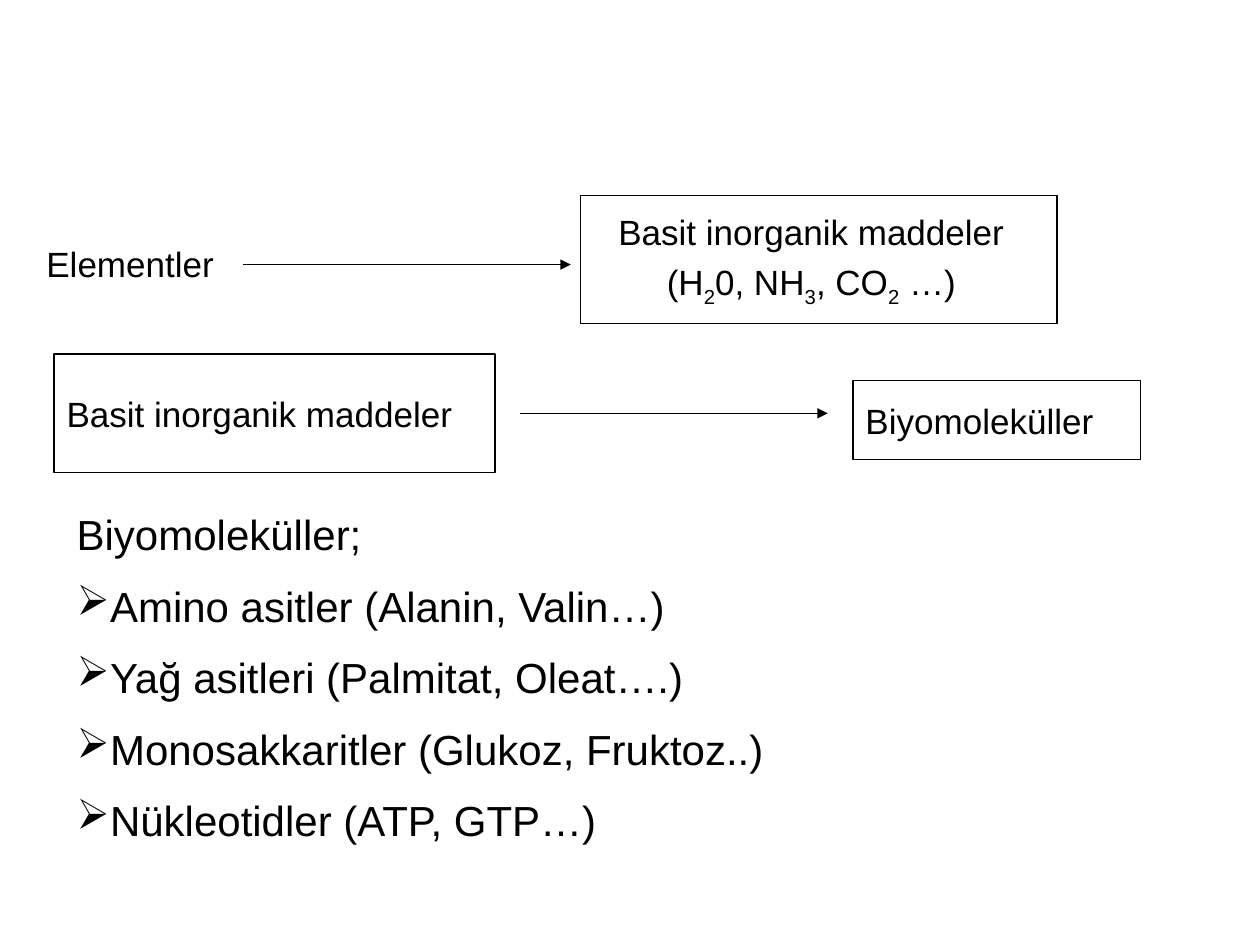
from lxml.etree import SubElement
from pptx import Presentation
from pptx.dml.color import RGBColor
from pptx.enum.shapes import MSO_CONNECTOR, MSO_SHAPE
from pptx.enum.text import MSO_ANCHOR, PP_ALIGN
from pptx.oxml.ns import qn
from pptx.util import Inches, Pt

BLACK = "000000"
BULLET = "➢"
BIOMOLECULES = [
    "Amino asitler (Alanin, Valin…)",
    "Yağ asitleri (Palmitat, Oleat….)",
    "Monosakkaritler (Glukoz, Fruktoz..)",
    "Nükleotidler (ATP, GTP…)",
]
# Formula parts: text and whether it is a subscript
FORMULAS = [("(H", False), ("2", True), ("0, NH", False), ("3", True),
            (", CO", False), ("2", True), (" …)", False)]


def color(value):
    return RGBColor.from_string(value)


def set_font(paragraph, size):
    paragraph.font.name = "Arial"
    paragraph.font.size = Pt(size)
    paragraph.font.color.rgb = color(BLACK)


def add_label(slide, box, text):
    shape = slide.shapes.add_textbox(*map(Inches, box))
    frame = shape.text_frame
    frame.word_wrap = True
    frame.vertical_anchor = MSO_ANCHOR.MIDDLE
    paragraph = frame.paragraphs[0]
    paragraph.text = text
    set_font(paragraph, 20)


def add_box(slide, box, text, alignment=PP_ALIGN.LEFT):
    shape = slide.shapes.add_shape(MSO_SHAPE.RECTANGLE, *map(Inches, box))
    shape.shadow.inherit = False
    shape.fill.background()
    shape.line.color.rgb = color(BLACK)
    shape.line.width = Pt(0.75)
    frame = shape.text_frame
    frame.word_wrap = True
    frame.vertical_anchor = MSO_ANCHOR.MIDDLE
    paragraph = frame.paragraphs[0]
    paragraph.text = text
    paragraph.alignment = alignment
    set_font(paragraph, 20)
    return frame


def add_inorganic_box(slide, box):
    frame = add_box(slide, box, "Basit inorganik maddeler", PP_ALIGN.CENTER)
    frame.margin_right = Inches(0.22)
    paragraph = frame.add_paragraph()
    paragraph.alignment = PP_ALIGN.CENTER
    paragraph.space_before = Pt(4.5)
    set_font(paragraph, 20)
    for text, subscript in FORMULAS:
        run = paragraph.add_run()
        run.text = text
        if subscript:
            run.font._element.set("baseline", "-25000")


def add_arrow(slide, left, right, y):
    arrow = slide.shapes.add_connector(
        MSO_CONNECTOR.STRAIGHT, Inches(left), Inches(y), Inches(right), Inches(y))
    arrow.line.color.rgb = color(BLACK)
    arrow.line.width = Pt(0.75)
    SubElement(arrow.line._get_or_add_ln(), qn("a:tailEnd"), type="triangle")
    SubElement(arrow._element.spPr, qn("a:effectLst"))


def add_bullet(paragraph):
    properties = paragraph._element.get_or_add_pPr()
    bullet_color = SubElement(properties, qn("a:buClr"))
    SubElement(bullet_color, qn("a:srgbClr"), val=BLACK)
    SubElement(properties, qn("a:buChar"), char=BULLET)


def add_biomolecule_list(slide, box):
    frame = slide.shapes.add_textbox(*map(Inches, box)).text_frame
    frame.word_wrap = True
    heading = frame.paragraphs[0]
    heading.text = "Biyomoleküller;"
    heading.space_after = Pt(6)
    set_font(heading, 24)
    for text in BIOMOLECULES:
        paragraph = frame.add_paragraph()
        paragraph.text = text
        paragraph.space_before = paragraph.space_after = Pt(6)
        add_bullet(paragraph)
        set_font(paragraph, 24)


def main():
    presentation = Presentation()
    presentation.slide_width = Inches(10)
    presentation.slide_height = Inches(7.5)
    slide = presentation.slides.add_slide(presentation.slide_layouts[6])

    # Elements to simple inorganic substances
    add_label(slide, (0.27, 1.86, 1.6, 0.46), "Elementler")
    add_arrow(slide, 1.93, 4.53, 2.1)
    add_inorganic_box(slide, (4.61, 1.55, 3.78, 1.02))

    # Simple inorganic substances to biomolecules
    add_box(slide, (0.43, 2.81, 3.5, 0.94), "Basit inorganik maddeler")
    add_arrow(slide, 4.13, 6.57, 3.28)
    add_box(slide, (6.77, 3.02, 2.28, 0.63), "Biyomoleküller")

    # Kinds of biomolecules
    add_biomolecule_list(slide, (0.51, 3.99, 9.49, 2.77))

    presentation.save("out.pptx")


if __name__ == "__main__":
    main()
